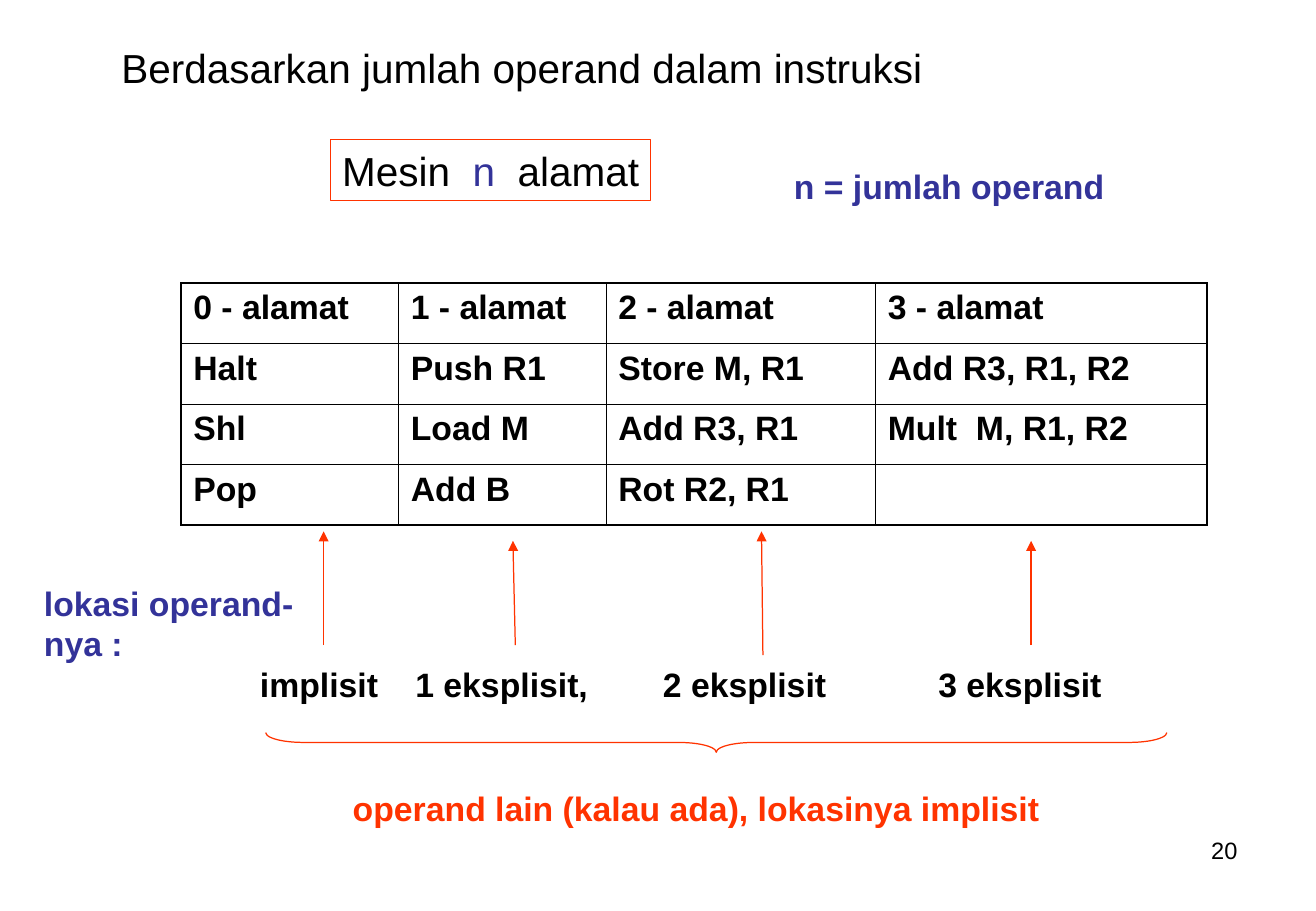
from dataclasses import dataclass

from lxml.etree import SubElement
from pptx import Presentation
from pptx.dml.color import RGBColor
from pptx.enum.shapes import MSO_CONNECTOR, MSO_SHAPE
from pptx.enum.text import MSO_ANCHOR, MSO_AUTO_SIZE, PP_ALIGN
from pptx.oxml.ns import qn
from pptx.util import Cm, Pt


@dataclass(frozen=True)
class Theme:
    font: str = "Arial"
    black: str = "000000"
    blue: str = "333399"
    red: str = "FF3300"
    heading: int = 24
    body: int = 20
    number: int = 14
    line: float = 0.75
    inner_border: float = 0.45
    outer_border: float = 1.08


THEME = Theme()
FRAME_FORMAT = {
    "margin_left": Cm(0.25), "margin_right": Cm(0.25),
    "margin_top": Cm(0.13), "margin_bottom": Cm(0.13),
    "vertical_anchor": MSO_ANCHOR.TOP, "auto_size": MSO_AUTO_SIZE.NONE,
}
INSTRUCTIONS = [
    ["0 - alamat", "1 - alamat", "2 - alamat", "3 - alamat"],
    ["Halt", "Push R1", "Store M, R1", "Add R3, R1, R2"],
    ["Shl", "Load M", "Add R3, R1", "Mult  M, R1, R2"],
    ["Pop", "Add B", "Rot R2, R1", ""],
]
COLUMN_WIDTHS = [4.55, 4.34, 5.64, 6.93]
LOCATIONS = ["implisit", "1 eksplisit,", "2 eksplisit", "3 eksplisit"]
LOCATION_STOPS = [4.52, 7.77, 12.95, 18.71]
ARROWS = [  # foot x, foot y, head x, head y, relative to the region's box
    (6.1, 1.44, 6.1, -0.94),
    (10.11, 1.44, 10.06, -0.74),
    (15.29, 1.65, 15.26, -0.94),
    (20.9, 1.44, 20.9, -0.74),
]


def apply_format(target, values):
    for name, value in values.items():
        setattr(target, name, value)


def add_spans(para, spans, size, bold=False):
    """Add (text, colour) spans to a paragraph."""
    for text, colour in spans:
        span = para.add_run()
        span.text = text
        apply_format(span.font, {"name": THEME.font, "size": Pt(size), "bold": bold})
        span.font.color.rgb = RGBColor.from_string(colour)


def write(shape, lines, size, bold=False, align=PP_ALIGN.LEFT, wrap=False):
    """Fill a shape with lines, each a list of spans; return the paragraphs."""
    frame = shape.text_frame
    apply_format(frame, {**FRAME_FORMAT, "word_wrap": wrap})
    paras = [frame.paragraphs[0]] + [frame.add_paragraph() for _ in lines[1:]]
    for para, spans in zip(paras, lines):
        para.alignment = align
        add_spans(para, spans, size, bold)
    return paras


def add_text(slide, box, lines, size, **options):
    shape = slide.shapes.add_textbox(*map(Cm, box))
    return write(shape, lines, size, **options)


def set_tab_stops(para, stops):
    properties = para._p.get_or_add_pPr()
    tab_list = SubElement(properties, qn("a:tabLst"))
    for stop in stops:
        SubElement(tab_list, qn("a:tab"), pos=str(Cm(stop)), algn="l")


def style_line(shape):
    shape.line.color.rgb = RGBColor.from_string(THEME.red)
    shape.line.width = Pt(THEME.line)


def add_heading(slide, box):
    title = slide.shapes.title
    apply_format(title, dict(zip(("left", "top", "width", "height"), map(Cm, box))))
    write(title, [[("Berdasarkan jumlah operand dalam instruksi", THEME.black)]],
          THEME.heading, wrap=True)


def add_machine_label(slide, box):
    left, top, width, height = box
    label = slide.shapes.add_shape(MSO_SHAPE.RECTANGLE, *map(Cm, (left, top, 6.7, 1.27)))
    label.shadow.inherit = False
    label.fill.background()
    style_line(label)
    write(label, [[("Mesin  ", THEME.black), ("n", THEME.blue),
                   ("  alamat", THEME.black)]], THEME.heading)
    add_text(slide, (left + 9.45, top + 0.41, width - 9.45, height - 0.41),
             [[("n = jumlah operand", THEME.blue)]], THEME.body, bold=True)


def set_borders(cell, outer_sides):
    properties = cell._tc.get_or_add_tcPr()
    fill = properties[0]
    for side in ("L", "R", "T", "B"):
        points = THEME.outer_border if side in outer_sides else THEME.inner_border
        border = SubElement(properties, qn(f"a:ln{side}"), w=str(Pt(points)))
        solid = SubElement(border, qn("a:solidFill"))
        SubElement(solid, qn("a:srgbClr"), val=THEME.black)
        fill.addprevious(border)


def add_instruction_table(slide, box):
    row_count, column_count = len(INSTRUCTIONS), len(COLUMN_WIDTHS)
    frame = slide.shapes.add_table(row_count, column_count, *map(Cm, box))
    table = frame.table
    apply_format(table, {"first_row": False, "horz_banding": False})
    for column, width in zip(table.columns, COLUMN_WIDTHS):
        column.width = Cm(width)
    for row, texts in enumerate(INSTRUCTIONS):
        for column, text in enumerate(texts):
            cell = table.cell(row, column)
            cell.fill.background()
            edges = {"L": column == 0, "R": column == column_count - 1,
                     "T": row == 0, "B": row == row_count - 1}
            set_borders(cell, [side for side, outer in edges.items() if outer])
            if text:
                para = cell.text_frame.paragraphs[0]
                para.space_before = Pt(5)
                add_spans(para, [(text, THEME.black)], THEME.body, bold=True)


def add_arrow(slide, ends):
    arrow = slide.shapes.add_connector(MSO_CONNECTOR.STRAIGHT, *map(Cm, ends))
    style_line(arrow)
    SubElement(arrow.line._get_or_add_ln(), qn("a:tailEnd"), type="triangle")
    SubElement(arrow._element.spPr, qn("a:effectLst"))


def add_operand_locations(slide, box):
    left, top = box[:2]
    location_line = "".join(f"\t{location}" for location in LOCATIONS)
    paras = add_text(slide, box, [
        [("lokasi operand-", THEME.blue)],
        [("nya :", THEME.blue)],
        [(location_line, THEME.black)],
    ], THEME.body, bold=True, wrap=True)
    set_tab_stops(paras[-1], LOCATION_STOPS)
    for foot_x, foot_y, head_x, head_y in ARROWS:
        add_arrow(slide, (left + foot_x, top + foot_y, left + head_x, top + head_y))


def add_implicit_note(slide, box):
    """Place a brace along the top of the box and the note below it."""
    left, top, length, height = box
    depth = 0.41
    brace = slide.shapes.add_shape(MSO_SHAPE.LEFT_BRACE, *map(Cm, (
        left + (length - depth) / 2, top + (depth - length) / 2, depth, length)))
    brace.rotation = 270
    brace.adjustments[0] = 1.94
    brace.shadow.inherit = False
    brace.fill.background()
    style_line(brace)
    add_text(slide, (left + 1.57, top + 1.02, 15.09, height - 1.02),
             [[("operand lain (kalau ada), lokasinya implisit", THEME.red)]],
             THEME.body, bold=True)


def main():
    deck = Presentation()
    deck.slide_width, deck.slide_height = Cm(27.53), Cm(19.05)
    slide = deck.slides.add_slide(deck.slide_layouts[5])
    add_heading(slide, (2.29, 0.77, 18, 1.27))
    add_machine_label(slide, (6.91, 2.92, 16.46, 1.53))
    add_instruction_table(slide, (3.79, 5.92, 21.46, 5.06))
    add_operand_locations(slide, (0.67, 12.05, 23.4, 2.79))
    add_implicit_note(slide, (5.56, 15.32, 18.85, 2.13))
    add_text(slide, (19.71, 17.35, 6.43, 1.32), [[("20", THEME.black)]],
             THEME.number, align=PP_ALIGN.RIGHT, wrap=True)
    deck.save("out.pptx")


if __name__ == "__main__":
    main()
